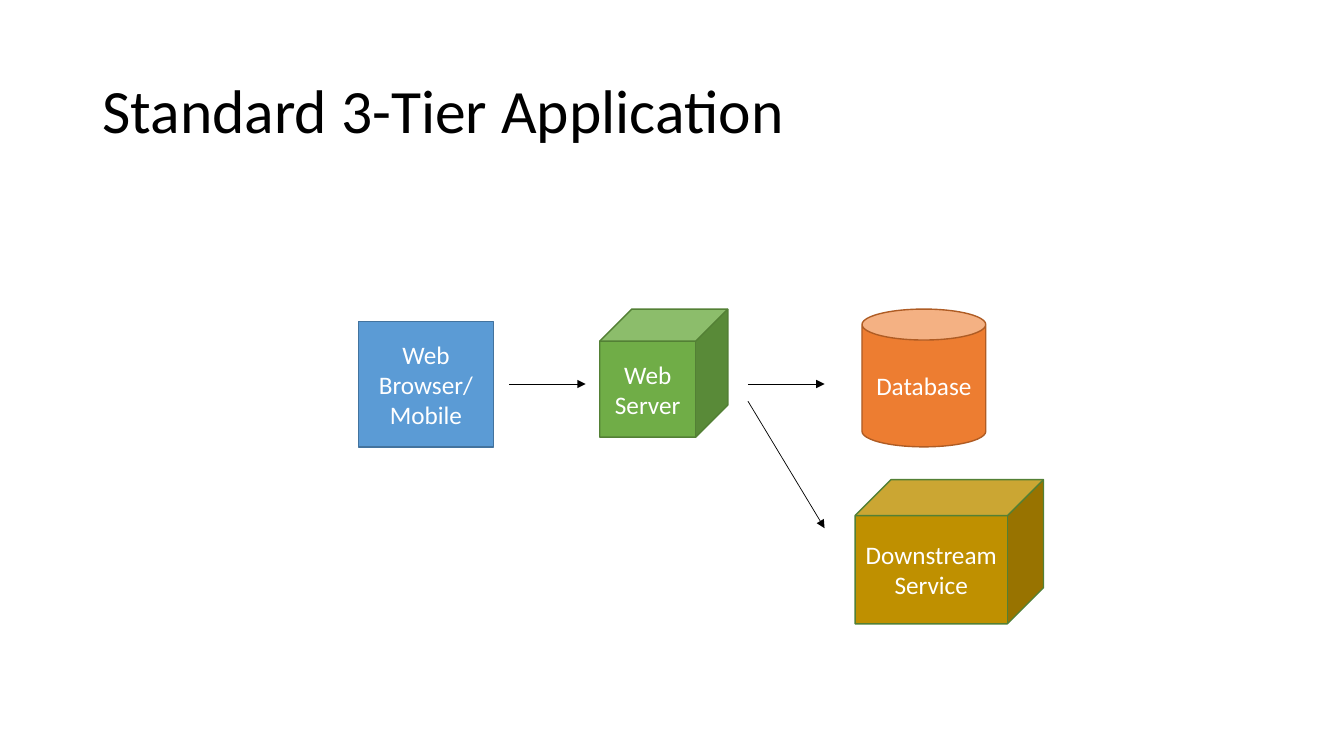
from dataclasses import dataclass

from lxml.etree import SubElement
from pptx import Presentation
from pptx.dml.color import RGBColor
from pptx.enum.shapes import MSO_CONNECTOR, MSO_SHAPE
from pptx.enum.text import MSO_ANCHOR, PP_ALIGN
from pptx.oxml.ns import qn
from pptx.slide import Slide
from pptx.util import Pt

FONT = "Calibri"
BLACK = RGBColor(0x00, 0x00, 0x00)
WHITE = RGBColor(0xFF, 0xFF, 0xFF)
BLUE = RGBColor(0x5B, 0x9B, 0xD5)
DARK_BLUE = RGBColor(0x43, 0x73, 0x9E)
ORANGE = RGBColor(0xED, 0x7D, 0x31)
DARK_ORANGE = RGBColor(0xAF, 0x5C, 0x24)
GREEN = RGBColor(0x70, 0xAD, 0x47)
DARK_GREEN = RGBColor(0x53, 0x80, 0x35)
GOLD = RGBColor(0xBF, 0x90, 0x00)


@dataclass(frozen=True)
class Tier:
    label: str
    outline: MSO_SHAPE
    left: float
    top: float
    width: float
    height: float
    fill: RGBColor
    border: RGBColor


@dataclass(frozen=True)
class Call:
    """Arrow from one tier to the next; every arrow spans CALL_WIDTH."""
    left: float
    start_y: float
    end_y: float


CALL_WIDTH = 54.7
MAIN_FLOW_Y = 274.3
SERVER_EXIT_X = 534.3

TIERS = [
    Tier("Web Browser/Mobile", MSO_SHAPE.RECTANGLE,
         256, 229.6, 96.5, 89.8, BLUE, DARK_BLUE),
    Tier("Database", MSO_SHAPE.CAN,
         615.7, 220.8, 88.4, 98.4, ORANGE, DARK_ORANGE),
    Tier("Web Server", MSO_SHAPE.CUBE,
         428.4, 220.8, 91.5, 91.5, GREEN, DARK_GREEN),
    Tier("Downstream\nService", MSO_SHAPE.CUBE,
         610.8, 342.6, 134.6, 103, GOLD, DARK_GREEN),
]

CALLS = [
    Call(363.6, MAIN_FLOW_Y, MAIN_FLOW_Y),
    Call(SERVER_EXIT_X, MAIN_FLOW_Y, MAIN_FLOW_Y),
    Call(SERVER_EXIT_X, 286.6, 377.3),
]


def set_title(slide: Slide, text: str) -> None:
    title = slide.shapes.title
    title.left, title.top = Pt(66), Pt(28.75)
    title.width, title.height = Pt(828), Pt(104.4)
    title.text_frame.vertical_anchor = MSO_ANCHOR.MIDDLE
    heading = title.text_frame.paragraphs[0]
    heading.text = text
    heading.alignment = PP_ALIGN.LEFT
    heading.line_spacing = 0.9
    heading.font.name = FONT
    heading.font.size = Pt(44)
    heading.font.color.rgb = BLACK


def draw_tier(slide: Slide, tier: Tier) -> None:
    block = slide.shapes.add_shape(
        tier.outline, Pt(tier.left), Pt(tier.top), Pt(tier.width), Pt(tier.height))
    block.shadow.inherit = False
    block.fill.solid()
    block.fill.fore_color.rgb = tier.fill
    block.line.color.rgb = tier.border
    block.line.width = Pt(1)
    block.text_frame.word_wrap = True
    block.text_frame.vertical_anchor = MSO_ANCHOR.MIDDLE
    label = block.text_frame.paragraphs[0]
    label.text = tier.label
    label.alignment = PP_ALIGN.CENTER
    label.font.name = FONT
    label.font.size = Pt(18)
    label.font.color.rgb = WHITE


def draw_call(slide: Slide, call: Call) -> None:
    arrow = slide.shapes.add_connector(
        MSO_CONNECTOR.STRAIGHT, Pt(call.left), Pt(call.start_y),
        Pt(call.left + CALL_WIDTH), Pt(call.end_y))
    arrow.line.color.rgb = BLACK
    arrow.line.width = Pt(0.5)
    SubElement(arrow.line._get_or_add_ln(), qn("a:tailEnd"), type="triangle")
    SubElement(arrow._element.spPr, qn("a:effectLst"))


def main() -> None:
    presentation = Presentation()
    presentation.slide_width, presentation.slide_height = Pt(960), Pt(540)
    title_only = presentation.slide_layouts.get_by_name("Title Only")
    slide = presentation.slides.add_slide(title_only)

    set_title(slide, "Standard 3-Tier Application")

    # Tiers of the application
    for tier in TIERS:
        draw_tier(slide, tier)

    # Calls between tiers
    for call in CALLS:
        draw_call(slide, call)

    presentation.save("out.pptx")


if __name__ == "__main__":
    main()
